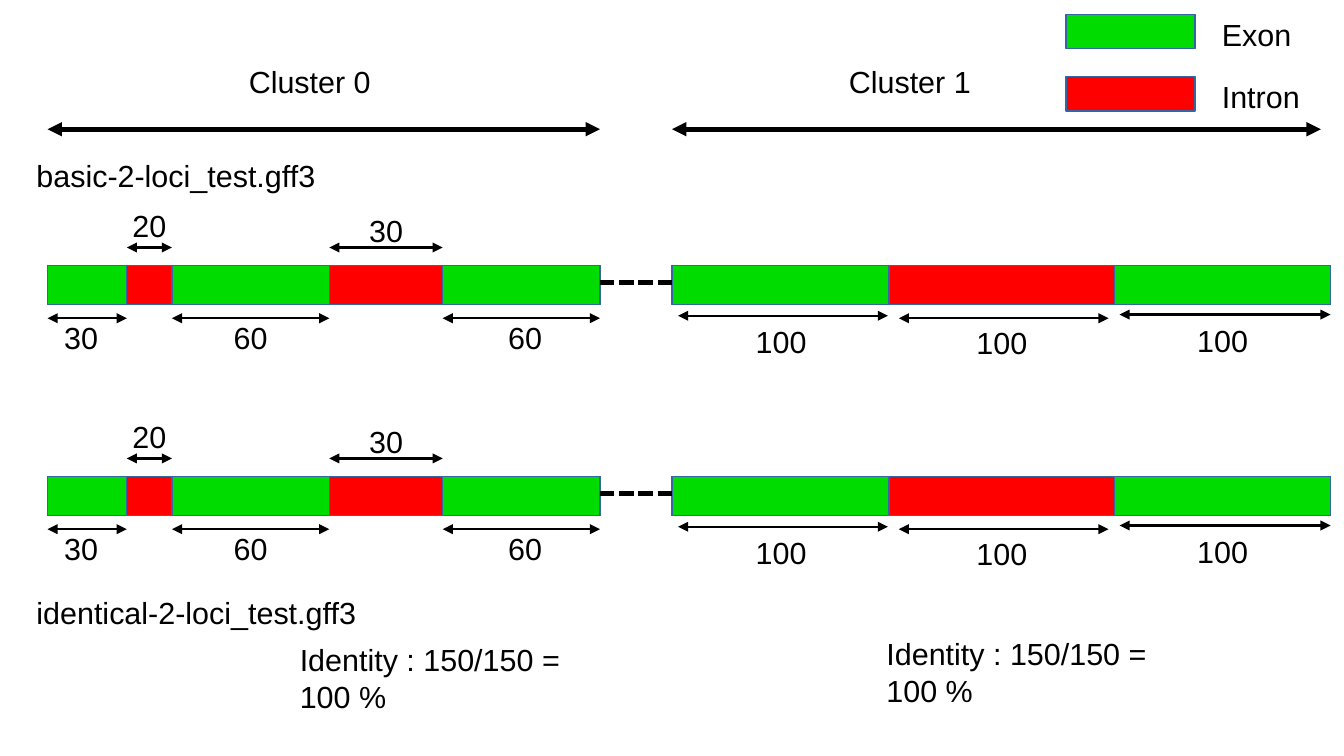
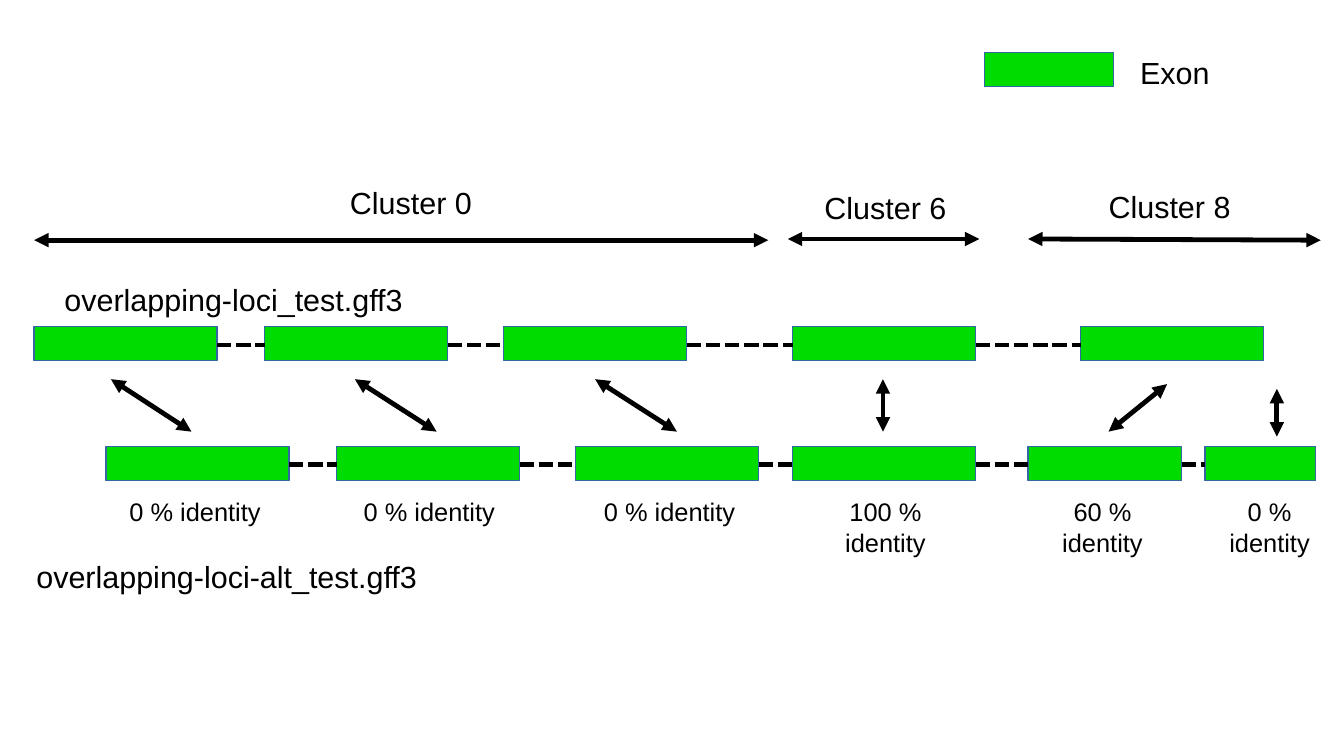
from lxml import etree
from pptx import Presentation
from pptx import util as u
from pptx.dml.color import RGBColor
from pptx.enum import dml, shapes, text
from pptx.oxml.ns import qn

# Shared look; 100 px make one inch
PX = 9144
WIDTH, HEIGHT = 1102, 620
GREEN = RGBColor(0x00, 0xDC, 0x00)
RED = RGBColor(0xFF, 0x00, 0x00)
BLUE = RGBColor(0x34, 0x65, 0xA4)
BLACK = RGBColor(0x00, 0x00, 0x00)
FONT = "Arial"
THIN, THICK = 1.42, 2.83
LEFT, CENTER = text.PP_ALIGN.LEFT, text.PP_ALIGN.CENTER

# Legends: name, colour, left, top
TWO_LOCI_LEGEND = [("Exon", GREEN, 874, 12), ("Intron", RED, 874, 63)]
OVERLAP_LEGEND = [("Exon", GREEN, 807, 43)]

# Cluster headings: name, label left, label top, arrow start, arrow end
TWO_LOCI_CLUSTERS = [
    ("Cluster 0", 185, 47, (39, 106), (492, 106)),
    ("Cluster 1", 677, 47, (551, 106), (1083, 106)),
]
OVERLAP_CLUSTERS = [
    ("Cluster 0", 268, 146, (28, 197), (630, 197)),
    ("Cluster 6", 657, 150, (646, 196), (803, 196)),
    ("Cluster 8", 890, 149, (843, 196), (1083, 197)),
]

# Slide 1: both files have the same loci; exons and introns alternate
LOCUS_TOPS = (218, 391)
LOCUS_H = 32
LOCUS_EDGES = [(39, 104, 141, 270, 363, 492), (551, 729, 914, 1091)]
# length, arrow from, arrow to, arrow offset, label left, label offset, label width
MEASURES = [
    ("30", 39, 104, 43, 39, 39, 55),
    ("20", 104, 141, -15, 95, -53, 55),
    ("60", 141, 270, 43, 178, 39, 55),
    ("30", 270, 363, -15, 289, -49, 55),
    ("60", 363, 492, 43, 403, 39, 55),
    ("100", 556, 728, 41, 604, 42, 73),
    ("100", 737, 909, 43, 785, 43, 73),
    ("100", 918, 1091, 40, 966, 41, 73),
]
# text, left, top, width, height
TWO_LOCI_NOTES = [
    ("basic-2-loci_test.gff3", 20, 124, 295, 38),
    ("identical-2-loci_test.gff3", 20, 482, 295, 38),
    ("Identity : 150/150 = 100 %", 717, 516, 236, 66),
    ("Identity : 150/150 = 100 %", 236, 521, 236, 66),
]

# Slide 2: top of each row and its exons as (left, width)
EXON_H = 28
EXON_ROWS = [
    (268, [(28, 150), (217, 150), (413, 150), (650, 150), (886, 150)]),
    (366, [(87, 150), (276, 150), (472, 150), (650, 150), (843, 126), (988, 91)]),
]
# Compared pairs: arrow start, arrow end, result, label left
MATCHES = [
    ((91, 311), (157, 354), "0 % identity", 91),
    ((291, 311), (358, 354), "0 % identity", 283),
    ((488, 311), (555, 354), "0 % identity", 480),
    ((724, 311), (724, 354), "100 % identity", 657),
    ((957, 315), (909, 354), "60 % identity", 835),
    ((1047, 358), (1047, 319), "0 %\nidentity", 972),
]
OVERLAP_NOTES = [
    ("overlapping-loci_test.gff3", 43, 226, 610, 94),
    ("overlapping-loci-alt_test.gff3", 20, 453, 610, 94),
]


def px(*values):
    return [u.Emu(v * PX) for v in values]


def add_bar(s, color, x, y, w, h):
    sp = s.shapes.add_shape(shapes.MSO_SHAPE.RECTANGLE, *px(x, y, w, h))
    sp.shadow.inherit = False
    sp.fill.solid()
    sp.fill.fore_color.rgb = color
    sp.line.color.rgb = BLUE
    sp.line.width = 0


def add_line(s, start, end, width):
    line = s.shapes.add_connector(shapes.MSO_CONNECTOR.STRAIGHT, *px(*start, *end))
    line.line.color.rgb = BLACK
    line.line.width = u.Pt(width)
    etree.SubElement(line.element.spPr, qn("a:effectLst"))
    return line


def add_arrow(s, start, end, width=THICK):
    ln = add_line(s, start, end, width).element.spPr.find(qn("a:ln"))
    for tag in ("a:headEnd", "a:tailEnd"):
        etree.SubElement(ln, qn(tag), type="triangle")


def add_dash(s, x1, x2, y):
    add_line(s, (x1, y), (x2, y), THICK).line.dash_style = dml.MSO_LINE.SQUARE_DOT


def add_text(s, words, x, y, w, h=38, align=LEFT, size=18):
    tf = s.shapes.add_textbox(*px(x, y, w, h)).text_frame
    tf.word_wrap = True
    tf.text = words
    for p in tf.paragraphs:
        p.alignment = align
        for r in p.runs:
            r.font.name = FONT
            r.font.size = u.Pt(size)
            r.font.color.rgb = BLACK


def add_base_slide(prs, legend, clusters, notes):
    """Blank slide with its legend, cluster headings and notes."""
    s = prs.slides.add_slide(prs.slide_layouts[6])
    for name, color, x, y in legend:
        add_bar(s, color, x, y, 106, 28)
        add_text(s, name, x + 118, y - 4, 98)
    for name, x, y, start, end in clusters:
        add_arrow(s, start, end)
        add_text(s, name, x, y, 138, align=CENTER)
    for note in notes:
        add_text(s, *note)
    return s


def add_two_loci(prs):
    s = add_base_slide(prs, TWO_LOCI_LEGEND, TWO_LOCI_CLUSTERS, TWO_LOCI_NOTES)
    for top in LOCUS_TOPS:
        # Red bar for the whole locus, green exons over it
        for edges in LOCUS_EDGES:
            add_bar(s, RED, edges[0], top, edges[-1] - edges[0], LOCUS_H)
            for x1, x2 in zip(edges[::2], edges[1::2]):
                add_bar(s, GREEN, x1, top, x2 - x1, LOCUS_H)
        add_dash(s, LOCUS_EDGES[0][-1], LOCUS_EDGES[1][0], top + 14)
        for length, x1, x2, dy, x, label_dy, w in MEASURES:
            add_arrow(s, (x1, top + dy), (x2, top + dy), THIN)
            add_text(s, length, x, top + label_dy, w, align=CENTER)


def add_overlapping_loci(prs):
    s = add_base_slide(prs, OVERLAP_LEGEND, OVERLAP_CLUSTERS, OVERLAP_NOTES)
    for top, exons in EXON_ROWS:
        for x, w in exons:
            add_bar(s, GREEN, x, top, w, EXON_H)
        for (x, w), (next_x, _) in zip(exons, exons[1:]):
            add_dash(s, x + w, next_x, top + 15)
    for start, end, result, x in MATCHES:
        add_arrow(s, start, end)
        add_text(s, result, x, 402, 138, 56, CENTER, 15)


def main():
    prs = Presentation()
    prs.slide_width, prs.slide_height = px(WIDTH, HEIGHT)
    add_two_loci(prs)
    add_overlapping_loci(prs)
    prs.save("out.pptx")


if __name__ == "__main__":
    main()
